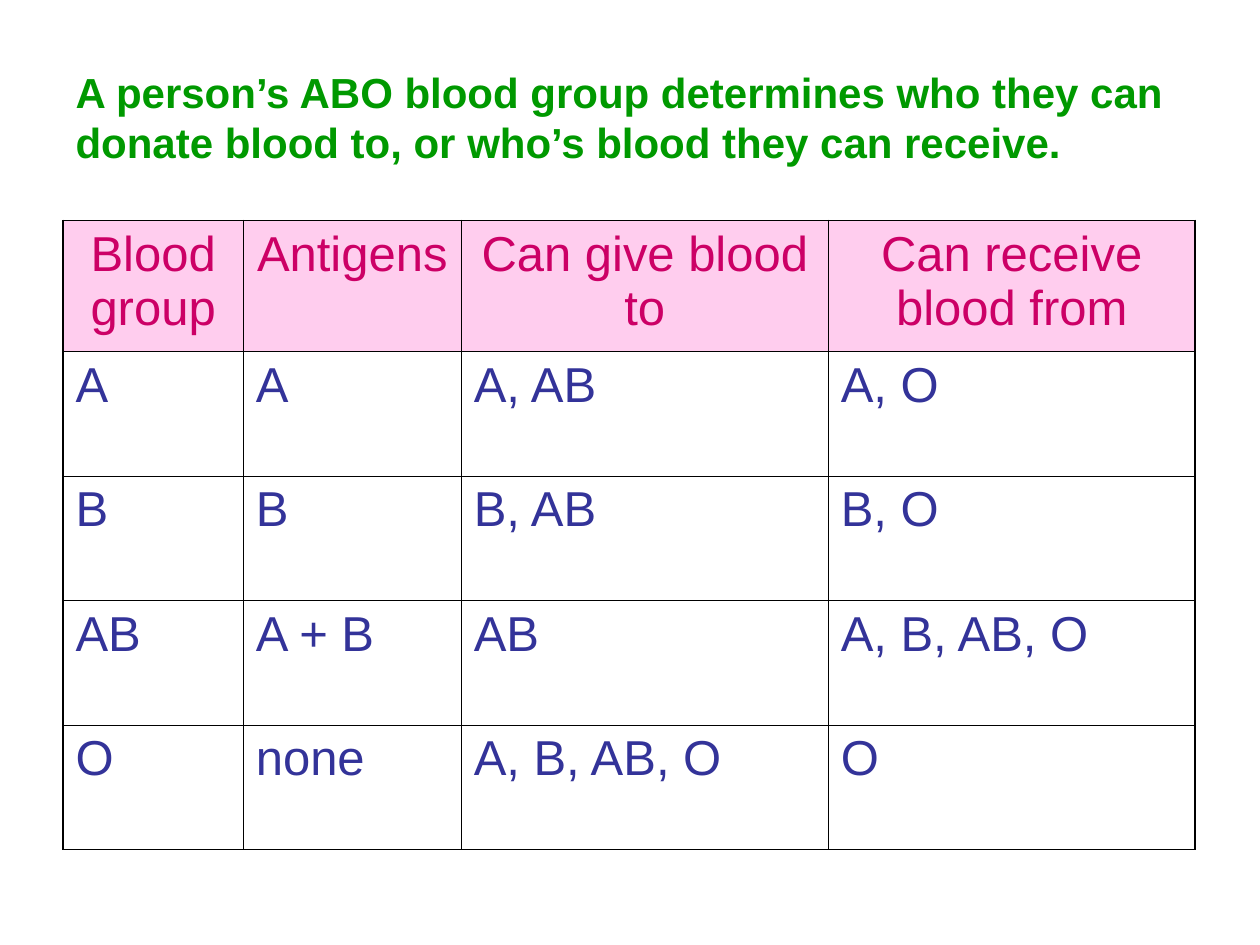
from lxml import etree
from pptx import Presentation
from pptx.dml.color import RGBColor
from pptx.enum import text
from pptx.oxml import ns
from pptx.util import Pt

GREEN = RGBColor(0x00, 0x99, 0x00)
MAGENTA = RGBColor(0xCC, 0x00, 0x66)
PINK = RGBColor(0xFF, 0xCD, 0xEE)
INDIGO = RGBColor(0x33, 0x33, 0x99)
BLACK = RGBColor(0x00, 0x00, 0x00)

TITLE = ("A person’s ABO blood group determines who they can donate blood to, "
         "or who’s blood they can receive.")
BLOOD_GROUPS = [
    ["Blood group", "Antigens", "Can give blood to", "Can receive blood from"],
    ["A", "A", "A, AB", "A, O"],
    ["B", "B", "B, AB", "B, O"],
    ["AB", "A + B", "AB", "A, B, AB, O"],
    ["O", "none", "A, B, AB, O", "O"],
]
COLUMN_WIDTHS = [103, 124.6, 209.7, 209.7]
ROW_HEIGHTS = [75] + [71.1] * 4


class SlideBuilder:
    font_name = "Arial"
    title_size = 24
    table_size = 28
    inner_line = 0.45
    outer_line = 1.08

    def __init__(self, slide):
        self.slide = slide

    def format_runs(self, paragraph, size, color, bold=False):
        for run in paragraph.runs:
            run.font.name = self.font_name
            run.font.size = Pt(size)
            run.font.bold = bold
            run.font.color.rgb = color

    def add_title(self, wording, left, top, width, height):
        title = self.slide.shapes.title
        title.left, title.top = Pt(left), Pt(top)
        title.width, title.height = Pt(width), Pt(height)
        frame = title.text_frame
        frame.text = wording
        frame.word_wrap = True
        frame.auto_size = text.MSO_AUTO_SIZE.NONE
        frame.vertical_anchor = text.MSO_ANCHOR.MIDDLE
        paragraph = frame.paragraphs[0]
        paragraph.alignment = text.PP_ALIGN.LEFT
        self.format_runs(paragraph, self.title_size, GREEN, bold=True)

    def add_table(self, rows, left, top, widths, heights):
        shape = self.slide.shapes.add_table(
            len(rows), len(widths), Pt(left), Pt(top), Pt(sum(widths)), Pt(sum(heights)))
        table = shape.table
        table.first_row = table.horz_banding = False
        for column, width in zip(table.columns, widths):
            column.width = Pt(width)
        for row, height in zip(table.rows, heights):
            row.height = Pt(height)
        last_row, last_column = len(rows) - 1, len(widths) - 1
        for r, row in enumerate(rows):
            for c, wording in enumerate(row):
                outer_sides = {"L": c == 0, "R": c == last_column,
                               "T": r == 0, "B": r == last_row}
                self.fill_cell(table.cell(r, c), wording, r == 0, outer_sides)

    def fill_cell(self, cell, wording, is_header, outer_sides):
        self.add_borders(cell, outer_sides)
        if is_header:
            cell.fill.solid()
            cell.fill.fore_color.rgb = PINK
        else:
            cell.fill.background()
        cell.margin_left = cell.margin_right = Pt(7.2)
        cell.margin_top = cell.margin_bottom = Pt(3.6)
        cell.text_frame.text = wording
        paragraph = cell.text_frame.paragraphs[0]
        paragraph.alignment = text.PP_ALIGN.CENTER if is_header else text.PP_ALIGN.LEFT
        self.format_runs(paragraph, self.table_size, MAGENTA if is_header else INDIGO)

    def add_borders(self, cell, outer_sides):
        """Draw each side, heavier where it lies on the table's edge."""
        properties = cell._tc.get_or_add_tcPr()
        for side, is_outer in outer_sides.items():
            width = self.outer_line if is_outer else self.inner_line
            line = etree.SubElement(properties, ns.qn(f"a:ln{side}"), w=str(Pt(width)))
            fill = etree.SubElement(line, ns.qn("a:solidFill"))
            etree.SubElement(fill, ns.qn("a:srgbClr"), val=str(BLACK))


def main():
    presentation = Presentation()
    presentation.slide_width, presentation.slide_height = Pt(720), Pt(540)
    title_only = presentation.slide_layouts[5]
    builder = SlideBuilder(presentation.slides.add_slide(title_only))
    builder.add_title(TITLE, 36, 21.6, 648, 90)
    builder.add_table(BLOOD_GROUPS, 36, 126, COLUMN_WIDTHS, ROW_HEIGHTS)
    presentation.save("out.pptx")


if __name__ == "__main__":
    main()
